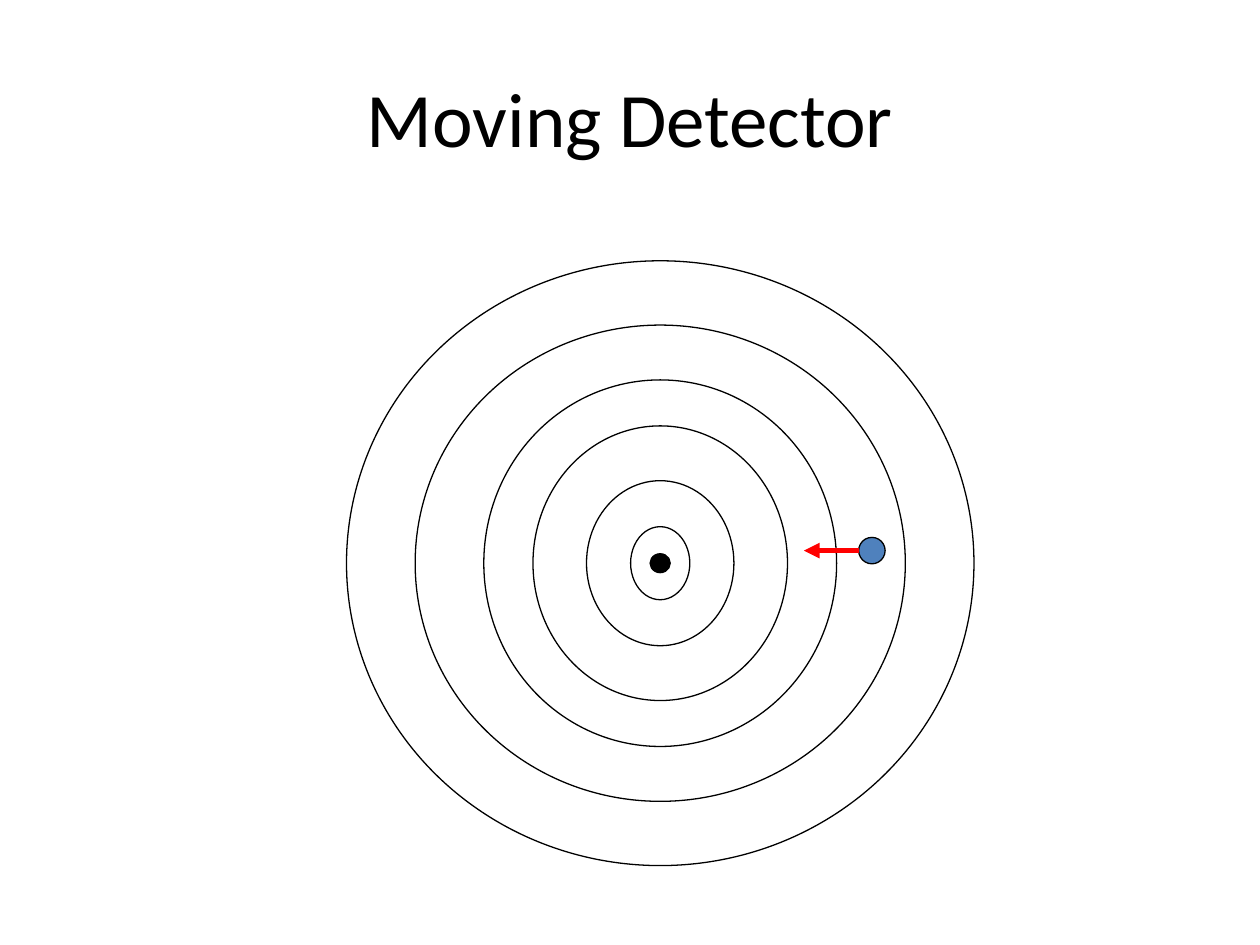
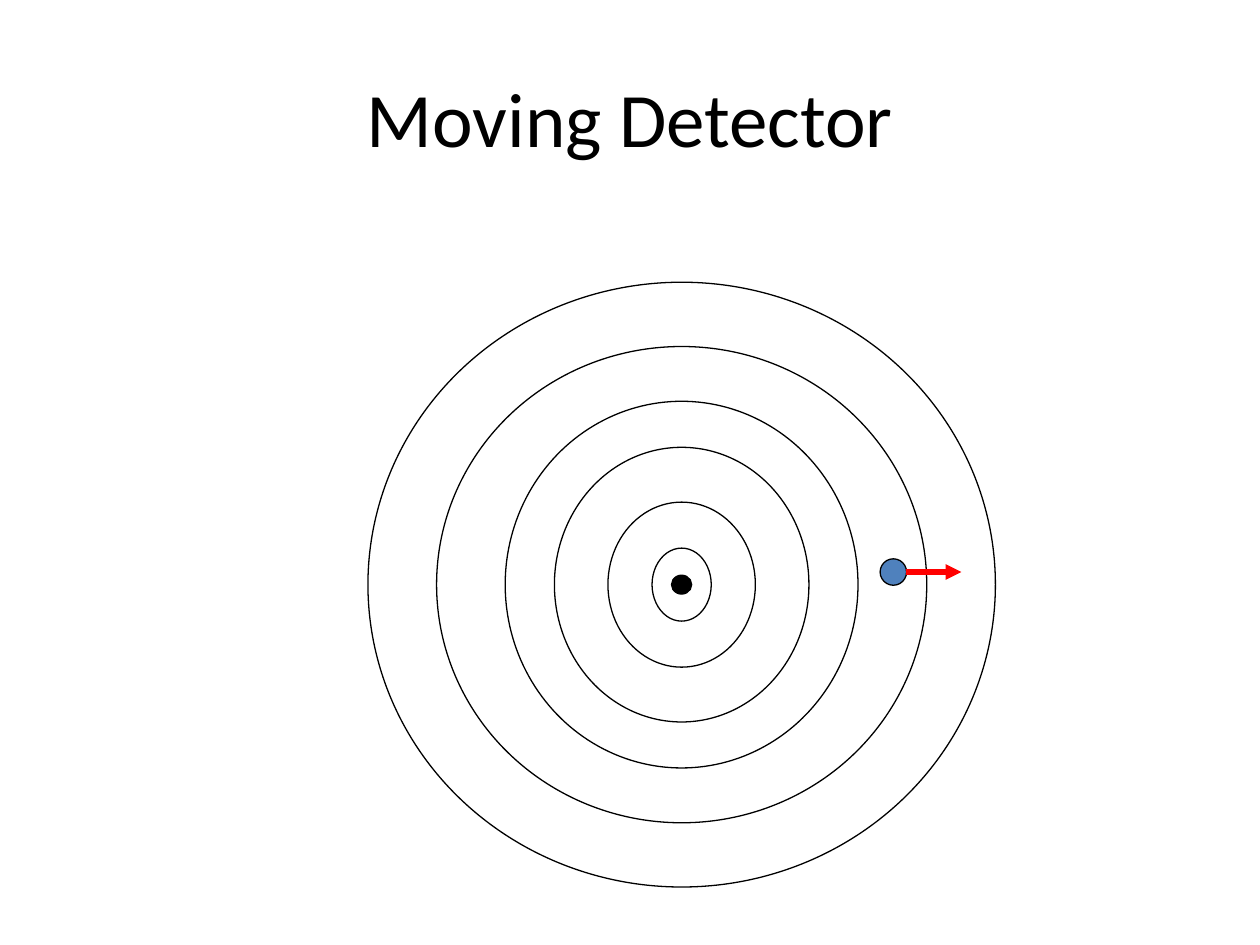
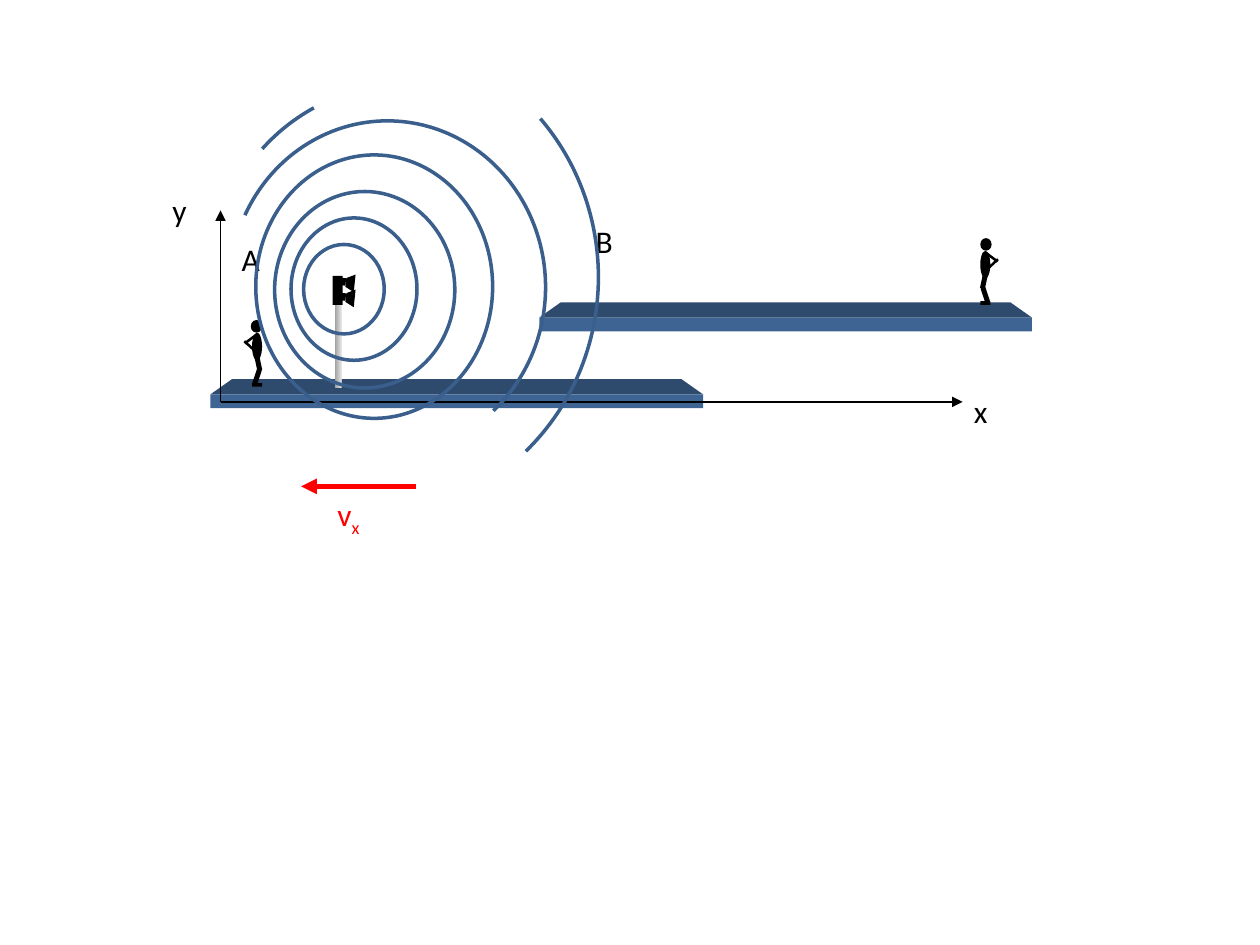
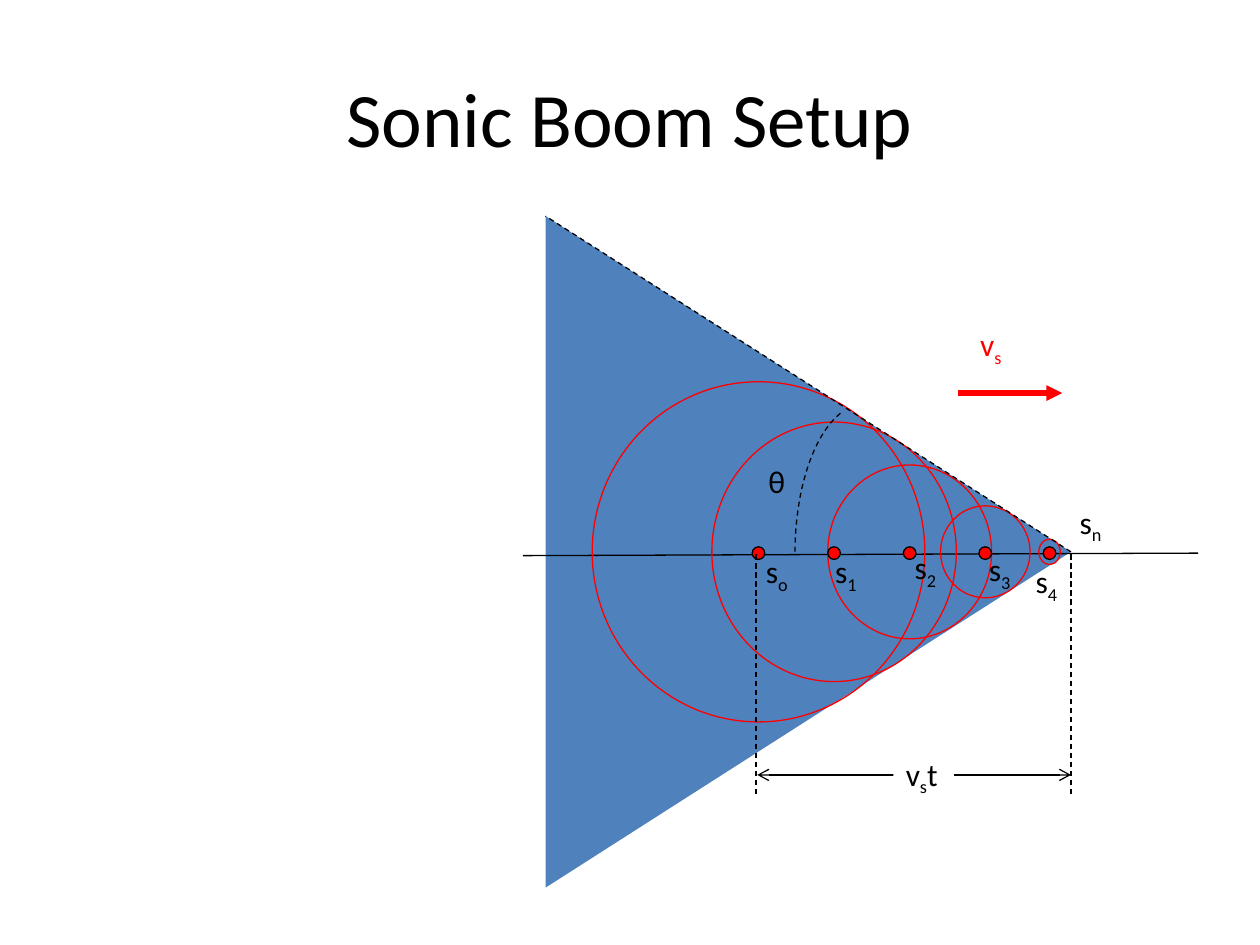
from pptx import Presentation
from pptx.dml.color import RGBColor
from pptx.enum.dml import MSO_LINE
from pptx.enum.shapes import MSO_CONNECTOR, MSO_SHAPE
from pptx.enum.text import MSO_ANCHOR, MSO_AUTO_SIZE, PP_ALIGN
from pptx.oxml.xmlchemy import OxmlElement
from pptx.util import Inches, Pt

ELLIPSE, RECTANGLE, ARC = MSO_SHAPE.OVAL, MSO_SHAPE.RECTANGLE, MSO_SHAPE.ARC
TRIANGLE, TRAPEZOID = MSO_SHAPE.ISOSCELES_TRIANGLE, MSO_SHAPE.TRAPEZOID
STRAIGHT = MSO_CONNECTOR.STRAIGHT
DASH = MSO_LINE.DASH
LEFT, CENTER = PP_ALIGN.LEFT, PP_ALIGN.CENTER
TOP, MIDDLE = MSO_ANCHOR.TOP, MSO_ANCHOR.MIDDLE
FIT_SHAPE, NO_FIT = MSO_AUTO_SIZE.SHAPE_TO_FIT_TEXT, MSO_AUTO_SIZE.NONE

FONT = "Calibri"
COLORS = {
    "black": "000000", "white": "FFFFFF", "red": "FF0000", "blue": "4F81BD",
    "wave": "3A5F8C", "platform front": "3D6493", "platform top": "2E4B6E",
    "pole dark": "A0A0A0", "pole light": "E3E3E3",
}
TITLE_BOX = (0.5, 0.3, 9, 1.25)


def rgb(name):
    return RGBColor.from_string(COLORS[name])


def style_shape(shape, fill=None, line=None, weight=0.75, dash=None):
    shape.shadow.inherit = False
    if fill:
        shape.fill.solid()
        shape.fill.fore_color.rgb = rgb(fill)
    else:
        shape.fill.background()
    if line:
        shape.line.color.rgb = rgb(line)
        shape.line.width = Pt(weight)
        if dash:
            shape.line.dash_style = dash
    else:
        shape.line.fill.background()


def add_figure(page, kind, box, rotation=0, adjustments=(), **style):
    shape = page.shapes.add_shape(kind, *map(Inches, box))
    shape.rotation = rotation
    for index, value in enumerate(adjustments):
        shape.adjustments[index] = value
    style_shape(shape, **style)
    return shape


def add_centered(page, center, size, **style):
    (x, y), (width, height) = center, size
    add_figure(page, ELLIPSE, (x - width / 2, y - height / 2, width, height), **style)


def add_arc(page, box, start, end):
    """Draw a wave front clockwise between two angles in degrees."""
    add_figure(page, ARC, box, adjustments=(start * 0.6, end * 0.6), line="wave", weight=2)


def add_line(page, start, end, color="black", weight=0.75, dash=None, head=None, tail=None):
    line = page.shapes.add_connector(STRAIGHT, *map(Inches, (*start, *end)))
    line.line.color.rgb = rgb(color)
    line.line.width = Pt(weight)
    if dash:
        line.line.dash_style = dash
    outline = line.line._get_or_add_ln()
    for tag, arrow in (("a:headEnd", head), ("a:tailEnd", tail)):
        if arrow:
            tip = OxmlElement(tag)
            tip.set("type", arrow)
            outline.append(tip)
    line._element.spPr.append(OxmlElement("a:effectLst"))


def add_text(page, text, box, subscript="", after="", size=18, color="black",
             align=LEFT, anchor=TOP, wrap=False, fit=FIT_SHAPE, fill=None):
    shape = page.shapes.add_textbox(*map(Inches, box))
    if fill:
        shape.fill.solid()
        shape.fill.fore_color.rgb = rgb(fill)
    frame = shape.text_frame
    frame.word_wrap, frame.auto_size, frame.vertical_anchor = wrap, fit, anchor
    para = frame.paragraphs[0]
    para.alignment = align
    for content, baseline in ((text, 0), (subscript, -25000), (after, 0)):
        if content:
            span = para.add_run()
            span.text = content
            span.font.name, span.font.size = FONT, Pt(size)
            span.font.color.rgb = rgb(color)
            if baseline:
                span.font._element.set("baseline", str(baseline))


def add_title(page, text):
    add_text(page, text, TITLE_BOX, size=44, align=CENTER, anchor=MIDDLE, wrap=True, fit=NO_FIT)


# Moving detector
def draw_detector(page, source, direction):
    """Rings around the source; direction is -1 for approaching, 1 for receding."""
    rings = ((4.98, 4.8), (3.89, 3.78), (2.8, 2.91), (2.02, 2.18), (1.17, 1.31), (0.47, 0.58))
    for size in rings:
        add_centered(page, source, size, fill="white", line="black")
    add_centered(page, source, (0.16, 0.15), fill="black", line="black")
    x, y = source[0] + 1.68, source[1] - 0.1
    add_centered(page, (x, y), (0.21, 0.21), fill="blue", line="black")
    edge = x + direction * 0.1
    add_line(page, (edge, y), (edge + direction * 0.44, y), "red", 3, tail="triangle")


# Moving sound source
def draw_platform(page, left, top):
    width, height, depth, inset = 3.91, 0.11, 0.12, 0.17
    add_figure(page, TRAPEZOID, (left, top - depth, width, depth),
               adjustments=(inset / depth,), fill="platform top")
    add_figure(page, RECTANGLE, (left, top, width, height), fill="platform front")


def draw_person(page, left, top, mirrored=False):
    width = 0.12
    parts = (  # kind, offset x, offset y, width, height, rotation
        (ELLIPSE, 0.02, 0, 0.09, 0.1, 0),          # head
        (ELLIPSE, 0.03, 0.1, 0.08, 0.22, 0),       # body
        (RECTANGLE, 0.01, 0.09, 0.02, 0.12, 53.2),   # upper arm
        (RECTANGLE, 0, 0.15, 0.02, 0.11, 312.7),     # lower arm
        (RECTANGLE, 0.06, 0.28, 0.04, 0.12, 347.9),  # thigh
        (RECTANGLE, 0.05, 0.39, 0.04, 0.12, 18.4),   # shin
        (RECTANGLE, 0.03, 0.5, 0.08, 0.03, 0),     # foot
    )
    for kind, x, y, part_width, part_height, rotation in parts:
        if mirrored:
            x, rotation = width - x - part_width, -rotation
        add_figure(page, kind, (left + x, top + y, part_width, part_height), rotation, fill="black")


def draw_speaker(page, left, top):
    pole = add_figure(page, RECTANGLE, (left + 0.02, top, 0.05, 0.89), fill="pole dark")
    pole.fill.gradient()
    pole.fill.gradient_angle = 0
    for stop, color in zip(pole.fill.gradient_stops, ("pole dark", "pole light")):
        stop.color.rgb = rgb(color)
    for y in (top + 0.02, top + 0.14):
        add_figure(page, RECTANGLE, (left + 0.05, y, 0.06, 0.05), 276.1, fill="black")
        add_figure(page, TRAPEZOID, (left + 0.07, y, 0.14, 0.07), 276.1, (0.5,), fill="black")
    add_figure(page, RECTANGLE, (left, top, 0.08, 0.23), fill="black")


def draw_axes(page, x, y):
    add_line(page, (x, y), (x, y - 1.52), tail="triangle")
    add_line(page, (x, y), (x + 5.89, y), tail="triangle")
    add_text(page, "y", (x - 0.48, y - 1.72, 0.41, 0.44))
    add_text(page, "x", (x + 5.88, y - 0.13, 0.41, 0.44))


def draw_waves(page, left, top):
    for x, y, width, height in ((1.19, 1.42, 1, 1.13), (1.29, 1.63, 0.64, 0.71),
                                (1.06, 1.21, 1.43, 1.56), (0.91, 0.92, 1.88, 2.09)):
        add_figure(page, ELLIPSE, (left + x, top + y, width, height), line="wave", weight=2)
    for x, y, width, height, start, end in ((0, 0, 3.63, 3.78, 317.1, 48.1),
                                            (0.55, 0.36, 3.09, 3.19, 223.7, 242.8),
                                            (0.7, 0.65, 2.51, 2.64, 206.8, 49.4)):
        add_arc(page, (left + x, top + y, width, height), start, end)


def draw_moving_source(page):
    draw_platform(page, 1.67, 3.13)
    draw_platform(page, 4.28, 2.52)
    draw_axes(page, 1.75, 3.19)
    add_line(page, (3.3, 3.86), (2.39, 3.86), "red", 3, tail="triangle")
    add_text(page, "v", (2.58, 3.88, 0.52, 0.44), subscript="x", color="red")
    draw_person(page, 7.77, 1.89, mirrored=True)
    draw_person(page, 1.97, 2.54)
    add_text(page, "A", (1.82, 1.86, 0.47, 0.44))
    add_text(page, "B", (4.63, 1.71, 0.47, 0.44))
    draw_speaker(page, 2.64, 2.19)
    draw_waves(page, 1.12, 0.31)


# Sonic boom
def draw_angle_curve(page, points, steps=16):
    """Sample a cubic curve through its four control points."""
    def at(t):
        weights = ((1 - t) ** 3, 3 * t * (1 - t) ** 2, 3 * t * t * (1 - t), t ** 3)
        return tuple(Inches(sum(w * point[axis] for w, point in zip(weights, points)))
                     for axis in (0, 1))

    builder = page.shapes.build_freeform(*at(0))
    builder.add_line_segments([at(step / steps) for step in range(1, steps + 1)], close=False)
    style_shape(builder.convert_to_shape(), line="black", dash=DASH)


def draw_sonic_boom(page, tip_x, axis_y):
    # Cone, turned to point right, and axis
    length, spread = 4.17, 5.33
    add_figure(page, TRIANGLE, (tip_x - (length + spread) / 2, axis_y - length / 2, spread, length),
               90, fill="blue")
    add_line(page, (tip_x - 4.35, axis_y + 0.03), (tip_x + 1.01, axis_y + 0.01))

    # Wave fronts, then source positions with labels
    sources = (  # distance behind the tip, wave size, label, label offset
        (2.48, (2.64, 2.7), "o", (-2.52, -0.05)),
        (1.88, (1.94, 2.06), "1", (-1.97, -0.05)),
        (1.28, (1.3, 1.38), "2", (-1.34, -0.08)),
        (0.68, (0.71, 0.73), "3", (-0.75, -0.06)),
        (0.17, (0.17, 0.2), "4", (-0.38, 0.03)),
    )
    for distance, size, _, _ in sources:
        add_centered(page, (tip_x - distance, axis_y), size, line="red")
    for distance, *_ in sources:
        add_centered(page, (tip_x - distance, axis_y + 0.01), (0.1, 0.1), fill="red", line="black")
    labels = [(name, offset) for _, _, name, offset in sources] + [("n", (-0.03, -0.44))]
    for name, (x, y) in labels:
        add_text(page, "s", (tip_x + x, axis_y + y, 0.42, 0.4), subscript=name)

    # Distance travelled
    for x in (tip_x - 2.5, tip_x):
        add_line(page, (x, axis_y + 0.02), (x, axis_y + 1.95), dash=DASH)
    add_line(page, (tip_x - 2.49, axis_y + 1.77), (tip_x, axis_y + 1.77), head="arrow", tail="arrow")
    add_text(page, "v", (tip_x - 1.41, axis_y + 1.56, 0.48, 0.4),
             subscript="s", after="t", fill="white")

    # Source velocity
    add_line(page, (tip_x - 0.9, axis_y - 1.26), (tip_x - 0.07, axis_y - 1.26),
             "red", 3, tail="triangle")
    add_text(page, "v", (tip_x - 0.82, axis_y - 1.85, 0.42, 0.4),
             subscript="s", color="red", wrap=True, fill="white")

    # Cone angle
    add_line(page, (tip_x, axis_y), (tip_x - length, axis_y - spread / 2), dash=DASH)
    curve = ((-1.83, -1.1), (-2.05, -0.92), (-2.19, -0.48), (-2.19, 0.01))
    draw_angle_curve(page, [(tip_x + x, axis_y + y) for x, y in curve])
    add_text(page, "θ", (tip_x - 2.5, axis_y - 0.76, 0.33, 0.4))


def main():
    deck = Presentation()
    deck.slide_width, deck.slide_height = Inches(10), Inches(7.5)
    pages = [deck.slides.add_slide(deck.slide_layouts[6]) for _ in range(4)]
    for page, title in zip(pages, ("Moving Detector", "Moving Detector", None, "Sonic Boom Setup")):
        if title:
            add_title(page, title)
    draw_detector(pages[0], (5.24, 4.47), -1)
    draw_detector(pages[1], (5.41, 4.64), 1)
    draw_moving_source(pages[2])
    draw_sonic_boom(pages[3], 8.5, 4.38)
    deck.save("out.pptx")


if __name__ == "__main__":
    main()
